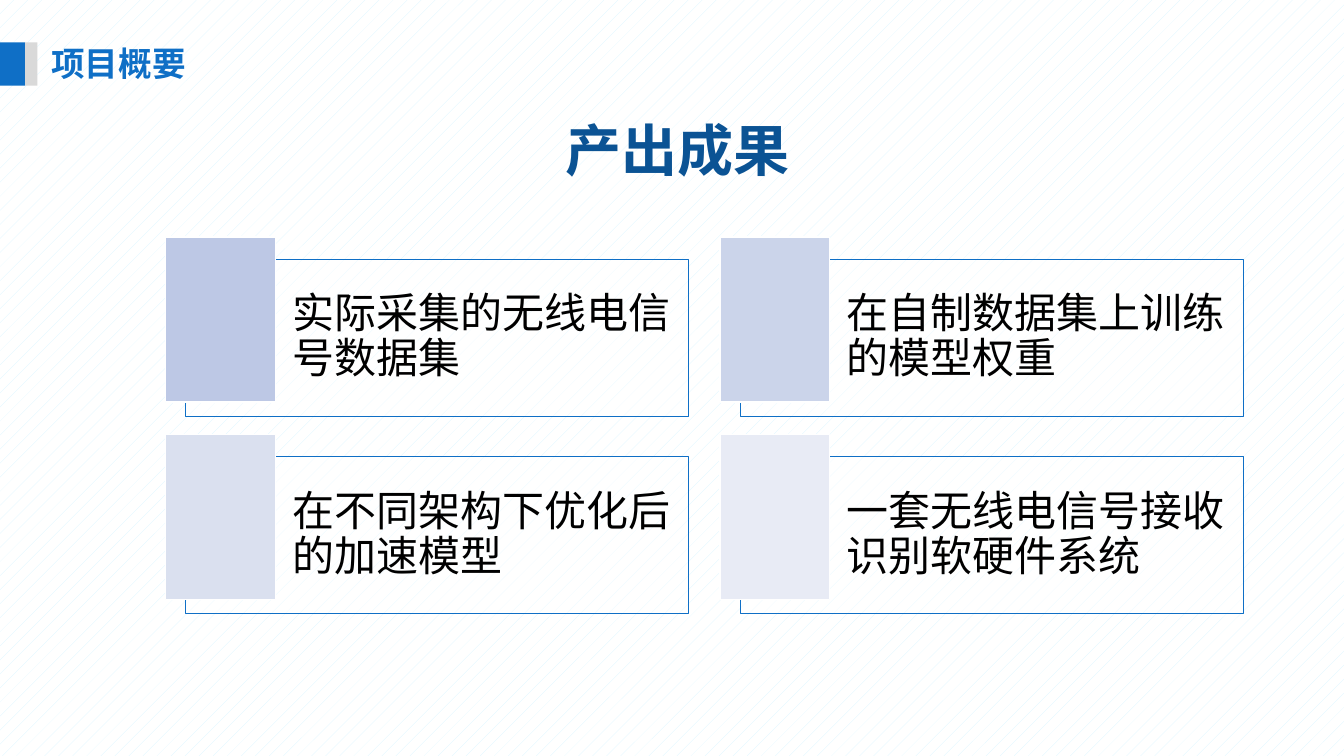
from lxml import etree
from pptx import Presentation
from pptx.dml.color import RGBColor
from pptx.enum import dml, shapes, text
from pptx.oxml.ns import qn
from pptx.util import Inches, Pt

FONT = "Noto Sans CJK SC"
BLUE, DARK_BLUE, GREY = "0F6FC6", "0B5394", "D9D9D9"
WHITE, BLACK = "FFFFFF", "000000"

# Outcome text and the colour of its block
OUTCOMES = [
    ("实际采集的无线电信号数据集", "BDC8E5"),
    ("在自制数据集上训练的模型权重", "CBD4EA"),
    ("在不同架构下优化后的加速模型", "DAE0EF"),
    ("一套无线电信号接收识别软硬件系统", "E8EBF5"),
]
COLUMNS = 2
CARD_LEFT, CARD_TOP, CARD_WIDTH, CARD_HEIGHT = 1.84, 2.57, 4.99, 1.56
COLUMN_STEP, ROW_STEP = 5.5, 1.96
BLOCK_OFFSET_X, BLOCK_OFFSET_Y = 0.2, 0.22
BLOCK_WIDTH, BLOCK_HEIGHT = 1.09, 1.64


def color(value):
    return RGBColor.from_string(value)


def write_text(shape, content, size, hex_color, bold=False):
    """Set one left-aligned paragraph and return it."""
    frame = shape.text_frame
    frame.text = content
    frame.word_wrap = True
    paragraph = frame.paragraphs[0]
    paragraph.alignment = text.PP_ALIGN.LEFT
    for run in paragraph.runs:
        run.font.name = FONT
        run.font.size = Pt(size)
        run.font.bold = bold
        run.font.color.rgb = color(hex_color)
        east_asian = etree.SubElement(run.font._element, qn("a:ea"))
        east_asian.set("typeface", FONT)
    return paragraph


def add_rectangle(slide, left, top, width, height, fill, line=None, line_width=1):
    shape = slide.shapes.add_shape(
        shapes.MSO_SHAPE.RECTANGLE,
        Inches(left), Inches(top), Inches(width), Inches(height))
    shape.shadow.inherit = False
    shape.fill.solid()
    shape.fill.fore_color.rgb = color(fill)
    if line:
        shape.line.color.rgb = color(line)
        shape.line.width = Pt(line_width)
    else:
        shape.line.fill.background()
    return shape


def set_opacity(shape, percent):
    fill_color = shape._element.spPr.find(qn("a:solidFill"))[0]
    etree.SubElement(fill_color, qn("a:alpha")).set("val", str(percent * 1000))


def add_background(slide):
    fill = slide.background.fill
    fill.patterned()
    fill.pattern = dml.MSO_PATTERN.PERCENT_5
    fill.fore_color.rgb = color("D7F5FF")
    fill.back_color.rgb = color(WHITE)


def add_header(slide):
    title = slide.shapes.title
    title.left, title.top = Inches(0.41), Inches(0.38)
    title.width, title.height = Inches(3.74), Inches(0.5)
    title.text_frame.vertical_anchor = text.MSO_ANCHOR.TOP
    write_text(title, "项目概要", 24, BLUE, bold=True)
    add_rectangle(slide, 0, 0.42, 0.25, 0.43, BLUE)
    add_rectangle(slide, 0.25, 0.42, 0.12, 0.43, GREY)


def add_heading(slide):
    heading = slide.shapes.add_textbox(
        Inches(5.51), Inches(1.1), Inches(2.94), Inches(0.77))
    write_text(heading, "产出成果", 40, DARK_BLUE, bold=True)


def add_outcome(slide, left, top, content, block_color):
    card = add_rectangle(slide, left, top, CARD_WIDTH, CARD_HEIGHT, WHITE, BLUE, 0.5)
    set_opacity(card, 40)
    frame = card.text_frame
    frame.margin_left = Inches(1.06)
    frame.margin_top = frame.margin_right = frame.margin_bottom = Inches(0.12)
    frame.vertical_anchor = text.MSO_ANCHOR.MIDDLE
    paragraph = write_text(card, content, 30, BLACK)
    paragraph.line_spacing = 0.9
    add_rectangle(slide, left - BLOCK_OFFSET_X, top - BLOCK_OFFSET_Y,
                  BLOCK_WIDTH, BLOCK_HEIGHT, block_color, WHITE)


def main():
    presentation = Presentation()
    presentation.slide_width = Inches(13.33)
    presentation.slide_height = Inches(7.5)
    slide = presentation.slides.add_slide(presentation.slide_layouts[5])

    add_background(slide)
    add_header(slide)
    add_heading(slide)

    # Outcome cards in a two-by-two grid
    for index, (content, block_color) in enumerate(OUTCOMES):
        row, column = divmod(index, COLUMNS)
        add_outcome(slide, CARD_LEFT + column * COLUMN_STEP,
                    CARD_TOP + row * ROW_STEP, content, block_color)

    presentation.save("out.pptx")


if __name__ == "__main__":
    main()
